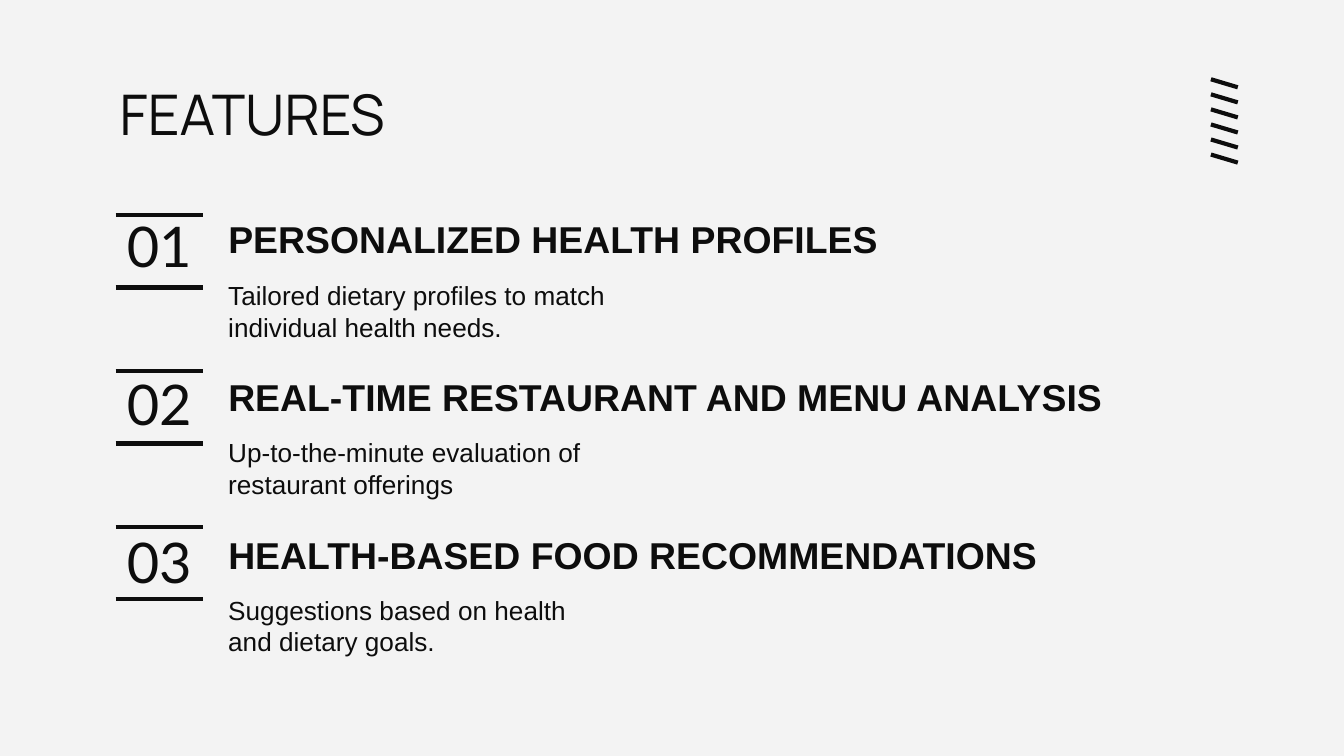
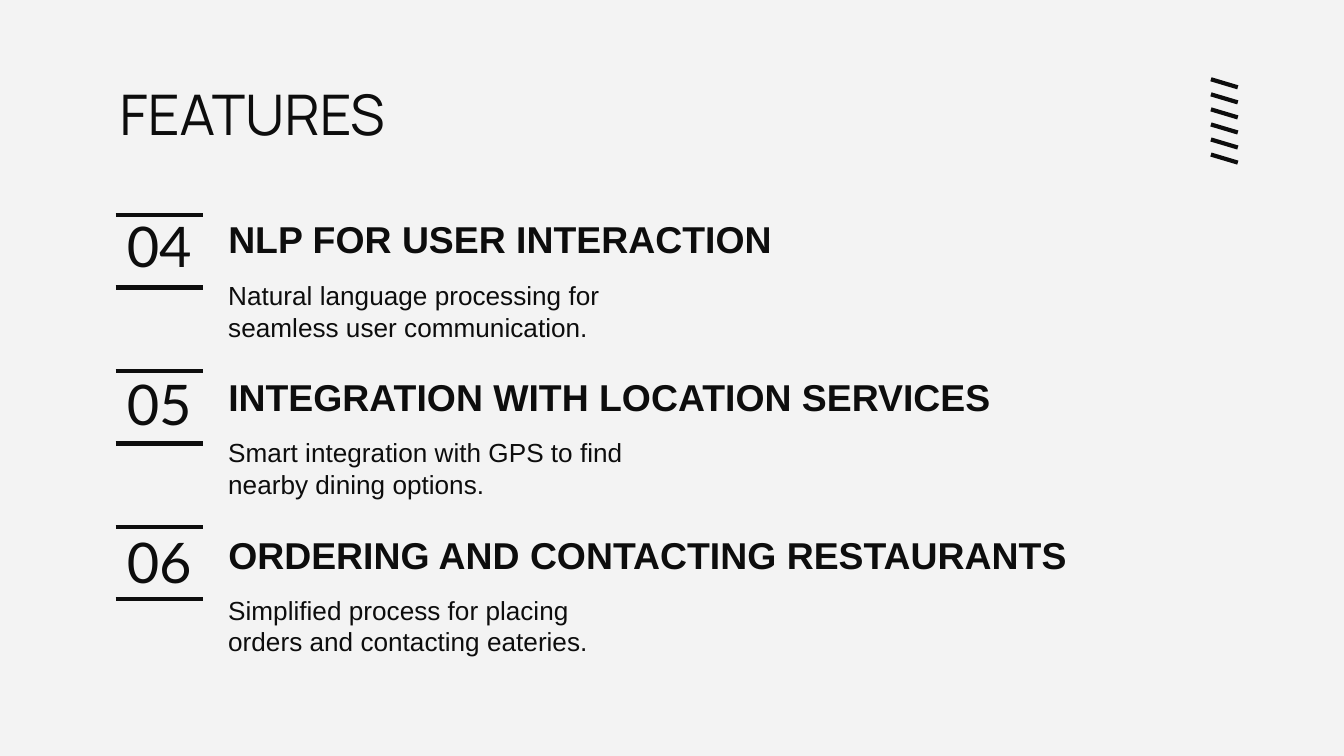
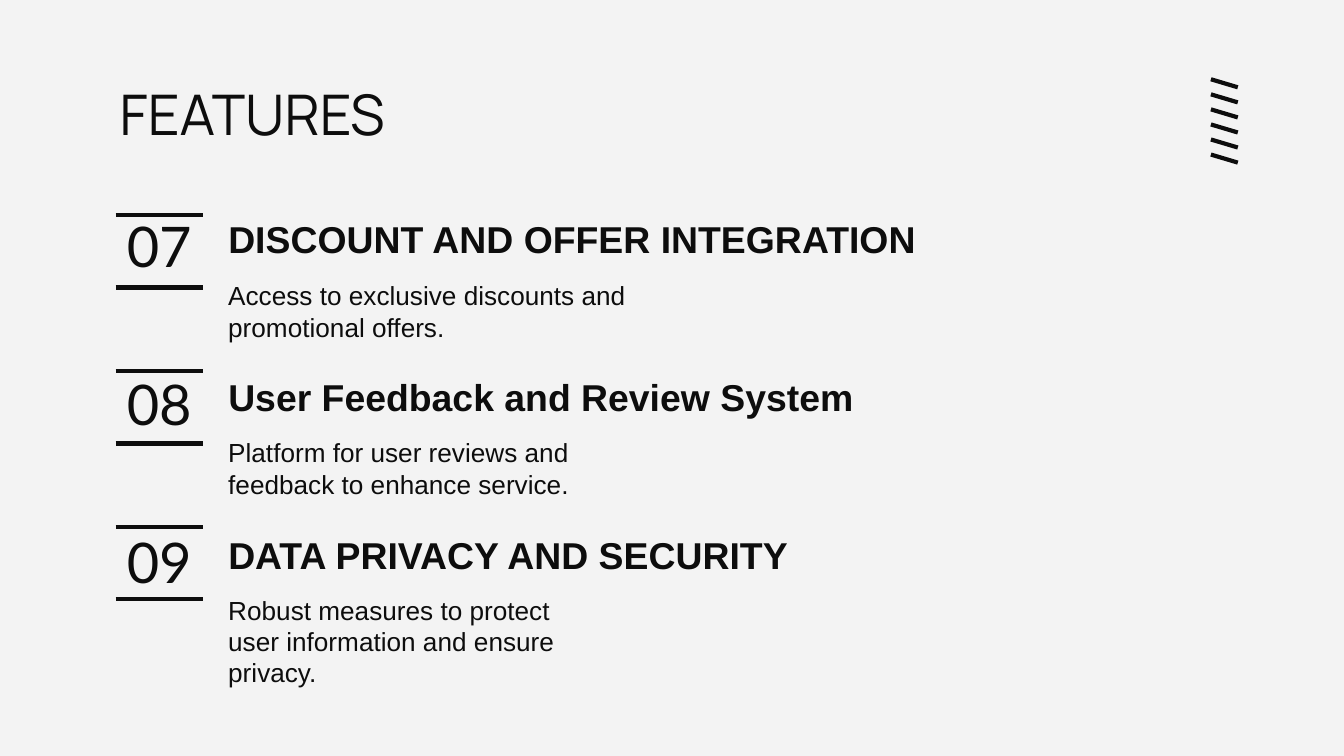
from collections import namedtuple

from lxml import etree
from pptx import Presentation
from pptx.dml.color import RGBColor
from pptx.enum.shapes import MSO_CONNECTOR as Connector
from pptx.enum.text import MSO_ANCHOR as Anchor, MSO_AUTO_SIZE as AutoSize, PP_ALIGN as Align
from pptx.oxml.ns import qn
from pptx.util import Inches, Pt

Box = namedtuple("Box", "left top width height")

COLORS = {"paper": "F3F3F3", "ink": "0D0D0D"}
FONTS = {"title": "Manrope", "number": "Lato", "body": "Arial"}
WIDTH = 10
HEIGHT = WIDTH * 9 / 16

TITLE = Box(0.79, 0.49, 8.43, 0.63)
SLASHES = Box(9.01, 0.59, 0.2, 0.62)
FEATURES = Box(0.79, 1.6, 8.43, 3.31)

SLASH_COUNT, SLASH_DROP = 6, 0.06
RULE_INSET, RULE_WIDTH, RULE_GAP = 0.07, 0.65, 0.54
NUMBER_WIDTH, TEXT_INDENT = 0.79, 0.81
LINE_HEIGHT, DETAIL_HEIGHT = 0.43, 0.59
HEADING_WIDTHS = (5.81, 7.12, 6.79)
DETAIL_WIDTHS = (3.4, 3.4, 2.9)
# Offset of each part's first and last row from the top of the list
ROW_SPANS = {"rule": (0, 2.32), "line": (0.01, 2.36), "detail": (0.38, 2.72)}

PAGES = [
    [
        ("PERSONALIZED HEALTH PROFILES",
         "Tailored dietary profiles to match individual health needs."),
        ("REAL-TIME RESTAURANT AND MENU ANALYSIS",
         "Up-to-the-minute evaluation of restaurant offerings"),
        ("HEALTH-BASED FOOD RECOMMENDATIONS",
         "Suggestions based on health and dietary goals."),
    ],
    [
        ("NLP FOR USER INTERACTION",
         "Natural language processing for seamless user communication."),
        ("INTEGRATION WITH LOCATION SERVICES",
         "Smart integration with GPS to find nearby dining options."),
        ("ORDERING AND CONTACTING RESTAURANTS",
         "Simplified process for placing orders and contacting eateries."),
    ],
    [
        ("DISCOUNT AND OFFER INTEGRATION",
         "Access to exclusive discounts and promotional offers."),
        ("User Feedback and Review System",
         "Platform for user reviews and feedback to enhance service."),
        ("DATA PRIVACY AND SECURITY",
         "Robust measures to protect user information and ensure privacy."),
    ],
]


def color(name):
    return RGBColor.from_string(COLORS[name])


def write(holder, text, *, font="body", size=14, bold=False, align=Align.LEFT,
          anchor=Anchor.TOP):
    """Fill a text box or placeholder with one formatted paragraph."""
    frame = holder.text_frame
    frame.word_wrap = True
    frame.auto_size = AutoSize.NONE
    frame.vertical_anchor = anchor
    frame.margin_left = frame.margin_right = Inches(0.1)
    frame.margin_top = frame.margin_bottom = Inches(0.1)
    frame.text = text
    paragraph = frame.paragraphs[0]
    paragraph.alignment = align
    run_font = paragraph.runs[0].font
    run_font.name, run_font.size, run_font.bold = FONTS[font], Pt(size), bold
    run_font.color.rgb = color("ink")


def add_text(slide, box, text, **style):
    write(slide.shapes.add_textbox(*map(Inches, box)), text, **style)


def add_stroke(group, *ends):
    stroke = group.shapes.add_connector(Connector.STRAIGHT, *map(Inches, ends))
    stroke.line.color.rgb = color("ink")
    stroke.line.width = Pt(2.25)
    etree.SubElement(stroke.line._get_or_add_ln().getparent(), qn("a:effectLst"))


def add_title(slide, box, text):
    title = slide.shapes.title
    title.left, title.top, title.width, title.height = map(Inches, box)
    write(title, text, font="title", size=30)


def add_slashes(slide, box):
    group = slide.shapes.add_group_shape()
    step = (box.height - SLASH_DROP) / (SLASH_COUNT - 1)
    for index in range(SLASH_COUNT):
        top = box.top + index * step
        add_stroke(group, box.left + box.width, top + SLASH_DROP, box.left, top)


def add_number_rules(slide, left, top):
    group = slide.shapes.add_group_shape()
    for level in (top + RULE_GAP, top):
        add_stroke(group, left, level, left + RULE_WIDTH, level)


def add_features(slide, box, features, first_number):
    text_left = box.left + TEXT_INDENT
    for row, (heading, detail) in enumerate(features):
        tops = {part: box.top + first + (last - first) * row / (len(features) - 1)
                for part, (first, last) in ROW_SPANS.items()}
        add_number_rules(slide, box.left + RULE_INSET, tops["rule"])
        add_text(slide, Box(box.left, tops["line"], NUMBER_WIDTH, LINE_HEIGHT),
                 f"{first_number + row:02d}", font="number", size=30,
                 align=Align.CENTER, anchor=Anchor.MIDDLE)
        add_text(slide, Box(text_left, tops["line"], HEADING_WIDTHS[row], LINE_HEIGHT),
                 heading, size=20, bold=True, anchor=Anchor.BOTTOM)
        add_text(slide, Box(text_left, tops["detail"], DETAIL_WIDTHS[row], DETAIL_HEIGHT),
                 detail)


def main():
    deck = Presentation()
    deck.slide_width, deck.slide_height = Inches(WIDTH), Inches(HEIGHT)
    paper = deck.slide_master.background.fill
    paper.solid()
    paper.fore_color.rgb = color("paper")
    title_only = deck.slide_layouts[5]

    first_number = 1
    for features in PAGES:
        slide = deck.slides.add_slide(title_only)
        add_title(slide, TITLE, "FEATURES")
        add_features(slide, FEATURES, features, first_number)
        add_slashes(slide, SLASHES)
        first_number += len(features)
    deck.save("out.pptx")


if __name__ == "__main__":
    main()
